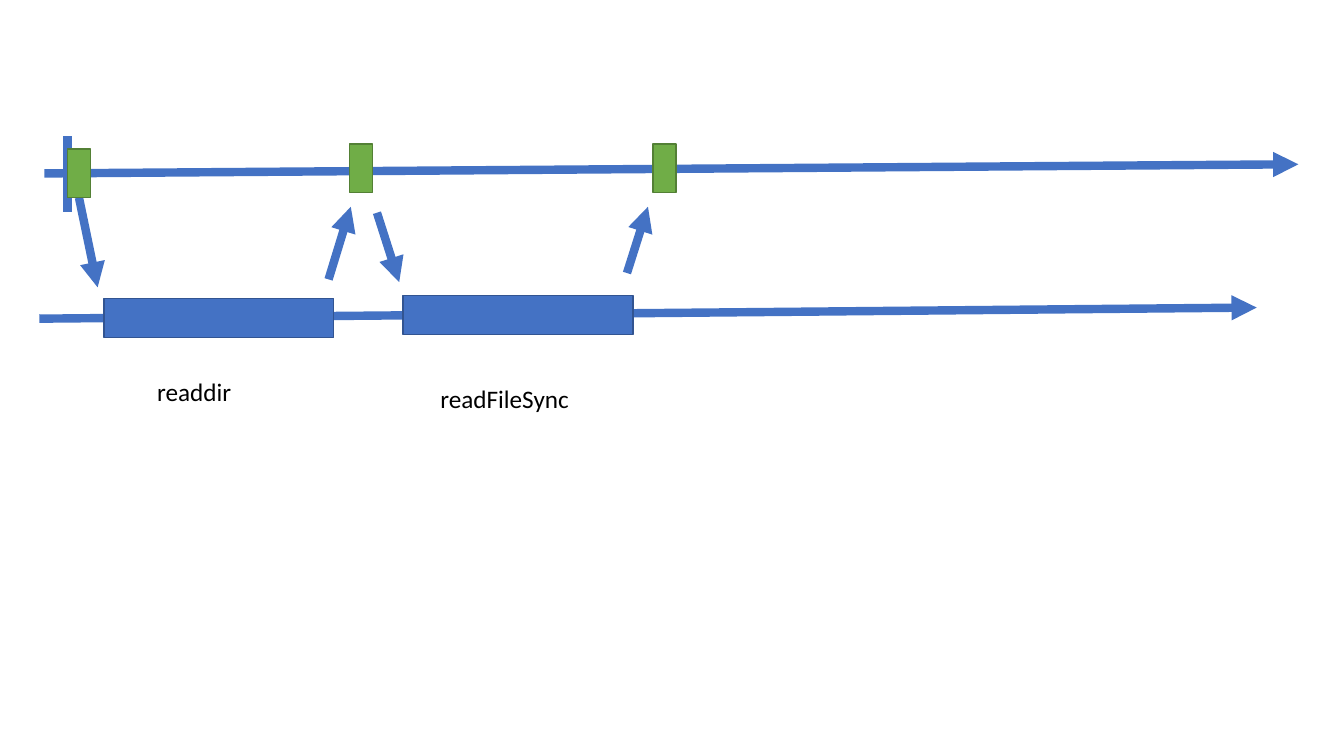
from dataclasses import dataclass

from lxml.etree import SubElement
from pptx import Presentation
from pptx.dml.color import RGBColor
from pptx.enum.shapes import MSO_CONNECTOR, MSO_SHAPE
from pptx.enum.text import MSO_AUTO_SIZE
from pptx.oxml.ns import qn
from pptx.shapes.autoshape import Shape
from pptx.shapes.connector import Connector
from pptx.slide import Slide
from pptx.util import Cm, Pt


@dataclass(frozen=True)
class Theme:
    blue: str = "4472C4"
    navy: str = "325491"
    green: str = "70AD47"
    moss: str = "538035"
    ink: str = "000000"
    font: str = "Calibri"
    size: float = 18
    stroke: float = 6
    edge: float = 1


@dataclass(frozen=True)
class Style:
    width: float
    height: float
    fill: str
    line: str


@dataclass(frozen=True)
class Box:
    left: float
    top: float
    style: Style


@dataclass(frozen=True)
class Line:
    x1: float
    y1: float
    x2: float
    y2: float
    arrow: bool = True


@dataclass(frozen=True)
class Label:
    left: float
    top: float
    width: float
    text: str


THEME = Theme()
TASK = Style(5.79, 0.99, THEME.blue, THEME.navy)
EVENT = Style(0.58, 1.22, THEME.green, THEME.moss)
LABEL_HEIGHT = 1.02
BOTTOM = 2

AXES = [
    Line(1.12, 4.37, 32.72, 4.14),
    Line(1.7, 3.43, 1.7, 5.33, arrow=False),
    Line(0.99, 8.03, 31.67, 7.75),
]
START = Line(1.99, 4.98, 2.46, 7.24)
CALLS = [
    Line(8.28, 7.04, 8.84, 5.21),
    Line(9.5, 5.36, 10.06, 7.11),
    Line(15.8, 6.88, 16.33, 5.21),
]
FIRST = Box(1.7, 3.76, EVENT)
BOXES = [
    Box(2.62, 7.52, TASK),
    Box(10.16, 7.44, TASK),
    Box(8.81, 3.63, EVENT),
    Box(16.46, 3.63, EVENT),
]
LABELS = [
    Label(3.71, 9.35, 2.41, "readdir"),
    Label(10.85, 9.53, 3.78, "readFileSync"),
]


def color(code: str) -> RGBColor:
    return RGBColor.from_string(code)


def draw_line(slide: Slide, line: Line) -> Connector:
    link = slide.shapes.add_connector(
        MSO_CONNECTOR.STRAIGHT, Cm(line.x1), Cm(line.y1), Cm(line.x2), Cm(line.y2)
    )
    link.line.color.rgb = color(THEME.blue)
    link.line.width = Pt(THEME.stroke)
    if line.arrow:
        SubElement(link.line._get_or_add_ln(), qn("a:tailEnd"), type="triangle")
    SubElement(link._element.spPr, qn("a:effectLst"))
    return link


def draw_box(slide: Slide, box: Box) -> Shape:
    style = box.style
    shape = slide.shapes.add_shape(
        MSO_SHAPE.RECTANGLE,
        Cm(box.left), Cm(box.top), Cm(style.width), Cm(style.height),
    )
    shape.shadow.inherit = False
    shape.fill.solid()
    shape.fill.fore_color.rgb = color(style.fill)
    shape.line.color.rgb = color(style.line)
    shape.line.width = Pt(THEME.edge)
    return shape


def draw_label(slide: Slide, label: Label) -> None:
    frame = slide.shapes.add_textbox(
        Cm(label.left), Cm(label.top), Cm(label.width), Cm(LABEL_HEIGHT)
    ).text_frame
    frame.word_wrap = False
    frame.auto_size = MSO_AUTO_SIZE.SHAPE_TO_FIT_TEXT
    frame.text = label.text
    font = frame.paragraphs[0].runs[0].font
    font.name = THEME.font
    font.size = Pt(THEME.size)
    font.color.rgb = color(THEME.ink)


def main() -> None:
    deck = Presentation()
    deck.slide_width, deck.slide_height = Cm(33.87), Cm(19.05)
    slide = deck.slides.add_slide(deck.slide_layouts[6])

    for line in AXES:
        draw_line(slide, line)
    start = draw_line(slide, START)
    start.begin_connect(draw_box(slide, FIRST), BOTTOM)
    for line in CALLS:
        draw_line(slide, line)
    for box in BOXES:
        draw_box(slide, box)
    for label in LABELS:
        draw_label(slide, label)

    deck.save("out.pptx")


if __name__ == "__main__":
    main()
